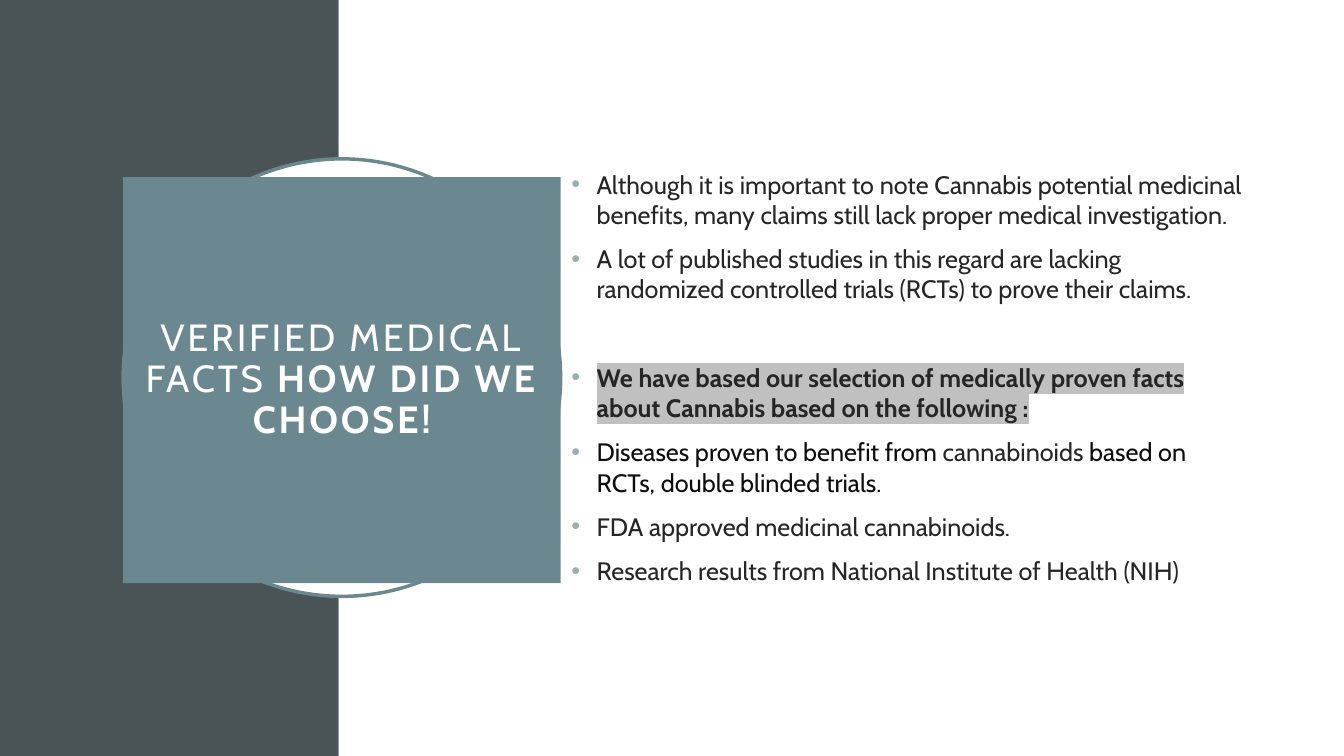
from dataclasses import dataclass

from lxml import etree
from pptx import Presentation
from pptx.dml.color import RGBColor
from pptx.enum import shapes, text
from pptx.oxml import ns
from pptx.util import Pt


@dataclass(frozen=True)
class Theme:
    font: str = "Cabin"
    title_size: float = 27
    body_size: float = 18
    white: str = "FFFFFF"
    slate: str = "4A5356"
    teal: str = "6B8891"
    bullet: str = "9BAFB5"
    ink: str = "262626"
    black: str = "0D0D0D"
    highlight: str = "C0C0C0"


THEME = Theme()
WIDTH, HEIGHT, SIDEBAR = 960, 540, 242

TITLE = [("VERIFIED MEDICAL FACTS ", False), ("HOW DID WE CHOOSE!", True)]

# Each bullet: space before, then runs of (text, colour, emphasised).
BULLETS = [
    (0, [("Although it is important to note Cannabis potential medicinal benefits, "
          "many claims still lack proper medical investigation.", THEME.ink, False)]),
    (10, [("A lot of published studies in this regard are lacking randomized "
           "controlled trials (RCTs) to prove their claims.", THEME.ink, False)]),
    (41.5, [("We have based our selection of medically proven facts about Cannabis "
             "based on the following :", THEME.ink, True)]),
    (10, [("Diseases proven to benefit from ", THEME.black, False),
          ("cannabinoids", THEME.ink, False),
          (" based on RCTs, double blinded trials.", THEME.black, False)]),
    (10, [("FDA approved medicinal cannabinoids.", THEME.ink, False)]),
    (10, [("Research results from National Institute of Health (NIH)", THEME.ink, False)]),
]


def rgb(value):
    return RGBColor.from_string(value)


def add_color_element(parent, tag, color):
    el = etree.SubElement(parent, ns.qn(tag))
    etree.SubElement(el, ns.qn("a:srgbClr"), val=color)
    return el


def add_panel(s, kind, box, fill, line=None):
    sp = s.shapes.add_shape(kind, *map(Pt, box))
    sp.shadow.inherit = False
    sp.fill.solid()
    sp.fill.fore_color.rgb = rgb(fill)
    if line:
        sp.line.color.rgb = rgb(line)
        sp.line.width = Pt(2.5)
    else:
        sp.line.fill.background()


def place(s, sp, box):
    """Move a placeholder into its box, in front of the panels."""
    sp.left, sp.top, sp.width, sp.height = map(Pt, box)
    s.shapes._spTree.append(sp._element)
    tf = sp.text_frame
    tf.word_wrap = True
    tf.auto_size = text.MSO_AUTO_SIZE.NONE
    tf.vertical_anchor = text.MSO_ANCHOR.MIDDLE
    return tf


def add_run(p, words, size, color, bold):
    r = p.add_run()
    r.text = words
    r.font.name = THEME.font
    r.font.size = Pt(size)
    r.font.bold = bold
    r.font.color.rgb = rgb(color)
    return r


def highlight(r):
    rpr = r.font._element
    mark = add_color_element(rpr, "a:highlight", THEME.highlight)
    rpr.find(ns.qn("a:solidFill")).addnext(mark)


def fill_title(s, box):
    sp = s.shapes.title
    tf = place(s, sp, box)
    sp.fill.solid()
    sp.fill.fore_color.rgb = rgb(THEME.teal)
    tf.margin_left = tf.margin_right = tf.margin_top = tf.margin_bottom = Pt(14.4)
    p = tf.paragraphs[0]
    p.alignment = text.PP_ALIGN.CENTER
    p.line_spacing = 0.9
    for words, bold in TITLE:
        r = add_run(p, words, THEME.title_size, THEME.white, bold)
        r.font._element.set("spc", "200")


def format_bullet(p, space_before):
    ppr = p._p.get_or_add_pPr()
    ppr.set("marL", str(Pt(18)))
    ppr.set("indent", str(Pt(-18)))
    add_color_element(ppr, "a:buClr", THEME.bullet)
    etree.SubElement(ppr, ns.qn("a:buFont"), typeface="Arial")
    etree.SubElement(ppr, ns.qn("a:buChar"), char="•")
    p.space_before = Pt(space_before)
    p.line_spacing = 1.0


def fill_body(s, box):
    tf = place(s, s.placeholders[1], box)
    for i, (space_before, runs) in enumerate(BULLETS):
        p = tf.add_paragraph() if i else tf.paragraphs[0]
        format_bullet(p, space_before)
        for words, color, emphasised in runs:
            r = add_run(p, words, THEME.body_size, color, emphasised)
            if emphasised:
                highlight(r)


def main():
    prs = Presentation()
    prs.slide_width, prs.slide_height = Pt(WIDTH), Pt(HEIGHT)
    s = prs.slides.add_slide(prs.slide_layouts[1])
    rect, oval = shapes.MSO_SHAPE.RECTANGLE, shapes.MSO_SHAPE.OVAL
    add_panel(s, rect, (0, 0, SIDEBAR, HEIGHT), THEME.slate)
    add_panel(s, rect, (SIDEBAR, 0, WIDTH - SIDEBAR, HEIGHT), THEME.white)
    add_panel(s, oval, (88, 113.5, 312.5, 312.5), THEME.white, THEME.teal)
    fill_title(s, (88, 126.5, 312.5, 290))
    fill_body(s, (401, 16.5, 494, 506))
    prs.save("out.pptx")


if __name__ == "__main__":
    main()
